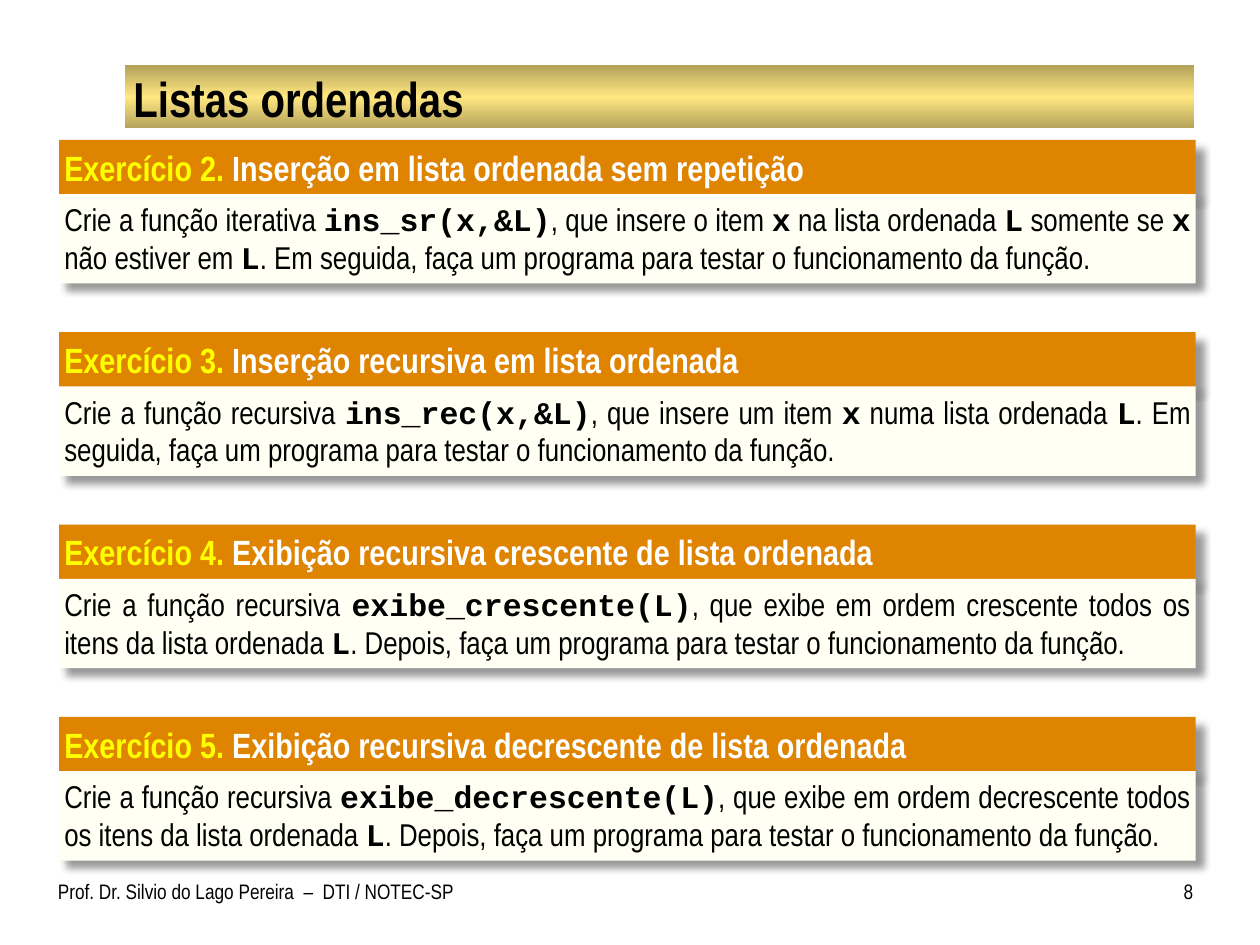
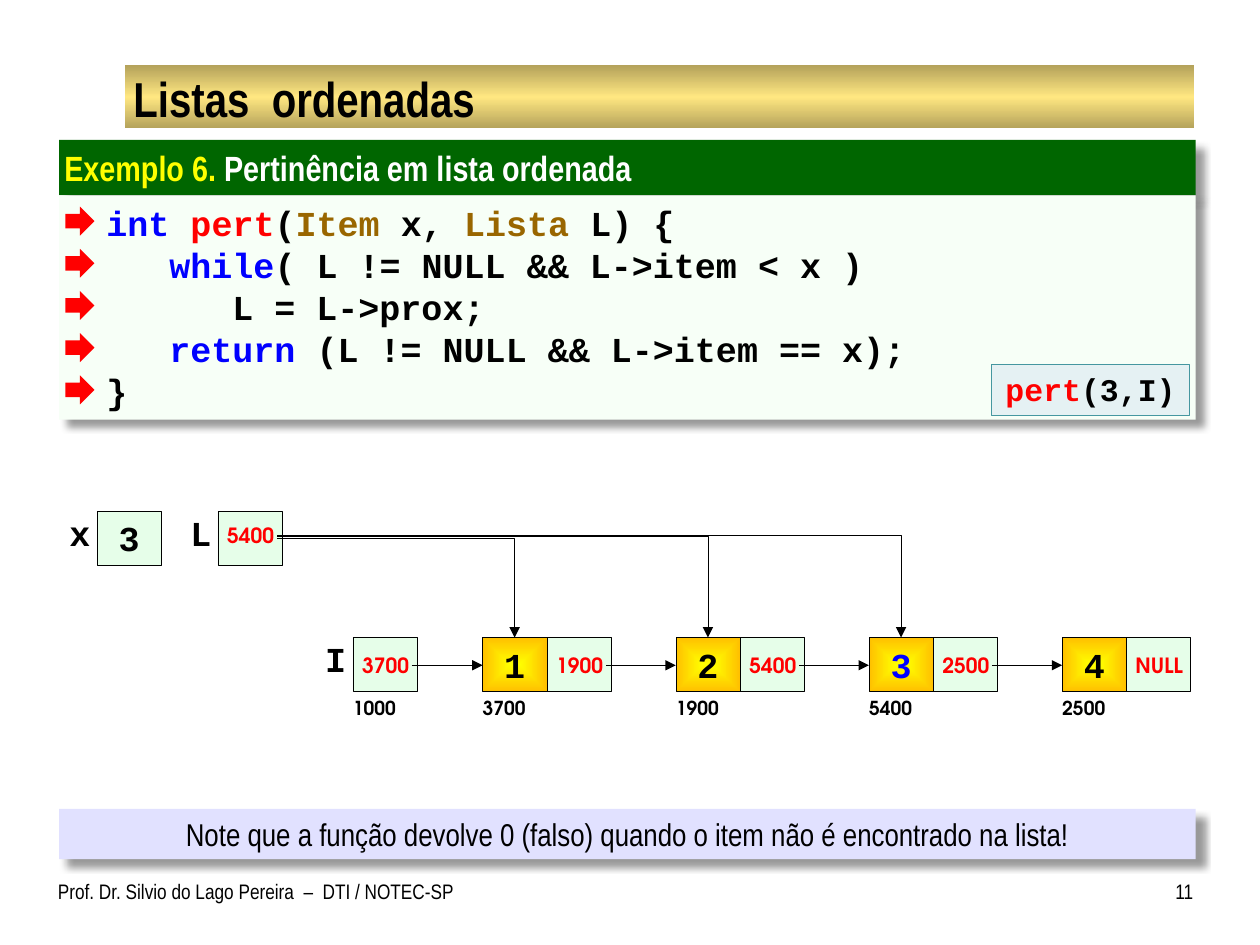
from lxml import etree
from pptx import Presentation
from pptx.dml.color import RGBColor
from pptx.enum.shapes import MSO_CONNECTOR, MSO_SHAPE
from pptx.enum.text import MSO_ANCHOR, MSO_AUTO_SIZE, PP_ALIGN
from pptx.oxml import parse_xml
from pptx.oxml.ns import qn
from pptx.util import Inches, Pt

RECTANGLE, RIGHT_ARROW = MSO_SHAPE.RECTANGLE, MSO_SHAPE.RIGHT_ARROW
STRAIGHT, ELBOW = MSO_CONNECTOR.STRAIGHT, MSO_CONNECTOR.ELBOW
TOP, MIDDLE = MSO_ANCHOR.TOP, MSO_ANCHOR.MIDDLE
LEFT, CENTER, RIGHT, JUSTIFY = PP_ALIGN.LEFT, PP_ALIGN.CENTER, PP_ALIGN.RIGHT, PP_ALIGN.JUSTIFY
DRAWING = "http://schemas.openxmlformats.org/drawingml/2006/main"

NARROW, MONO, ROUND = "Arial Narrow", "Courier New", "TeX Gyre Adventor"
COLORS = {
    "black": "000000", "white": "FFFFFF", "red": "FF0000", "blue": "0000FF",
    "yellow": "FFFF00", "amber": "FFC000", "brown": "996600",
    "band edge": "B4A25B", "band middle": "FFE781",
    "exercise": "DE8400", "exercise body": "FFFFF3",
    "example": "006600", "example body": "F7FFF7",
    "note": "E1E1FF", "call": "E5F1F3", "call line": "4597A0", "cell": "E6FEE9",
}

# Content
FOOTER = "Prof. Dr. Silvio do Lago Pereira  –  DTI / NOTEC-SP"
# Backticks enclose code
EXERCISES = [
    ("Exercício 2.", "Inserção em lista ordenada sem repetição",
     "Crie a função iterativa `ins_sr(x,&L)`, que insere o item `x` na lista ordenada `L` "
     "somente se `x` não estiver em `L`. Em seguida, faça um programa para testar o "
     "funcionamento da função."),
    ("Exercício 3.", "Inserção recursiva em lista ordenada",
     "Crie a função recursiva `ins_rec(x,&L)`, que insere um item `x` numa lista ordenada "
     "`L`. Em seguida, faça um programa para testar o funcionamento da função."),
    ("Exercício 4.", "Exibição recursiva crescente de lista ordenada",
     "Crie a função recursiva `exibe_crescente(L)`, que exibe em ordem crescente todos os "
     "itens da lista ordenada `L`. Depois, faça um programa para testar o funcionamento "
     "da função."),
    ("Exercício 5.", "Exibição recursiva decrescente de lista ordenada",
     "Crie a função recursiva `exibe_decrescente(L)`, que exibe em ordem decrescente todos "
     "os itens da lista ordenada `L`. Depois, faça um programa para testar o funcionamento "
     "da função."),
]
# Indent in characters, then coloured pieces
CODE = [
    (2, [("int ", "blue"), ("pert", "red"), ("(", "black"), ("Item", "brown"),
         (" x, ", "black"), ("Lista", "brown"), (" L) {", "black")]),
    (5, [("while", "blue"), ("( L != NULL && L->item < x )", "black")]),
    (8, [("L = L->prox;", "black")]),
    (5, [("return", "blue"), (" (L != NULL && L->item == x);", "black")]),
    (2, [("}", "black")]),
]
# Item, its colour, next address, own address
NODES = [
    ("1", "black", "1900", "3700"),
    ("2", "black", "5400", "1900"),
    ("3", "blue", "2500", "5400"),
    ("4", "black", "NULL", "2500"),
]
NOTE = "Note que a função devolve 0 (falso) quando o item não é encontrado na lista!"

# Layout in inches
PANEL_LEFT, PANEL_WIDTH, PANEL_TOP = 0.47, 9.02, 1.11
HEADER_HEIGHT, BODY_HEIGHT, EXERCISE_STEP = 0.44, 0.71, 4.58 / 3
CELL_WIDTH, CELL_HEIGHT = 0.51, 0.43
VARIABLE_TOP, NODE_TOP = 4.06, 5.06
FIRST_NODE, NODE_STEP = 3.83, 4.6 / 3
CODE_CHARACTER = 1 / 6
PANEL_INSETS = (0.04, 0.05, 0.04, 0.05)


def rgb(name):
    return RGBColor.from_string(COLORS[name])


def add_gradient(shape, stops, direction):
    shape.fill.gradient()
    properties = shape._element.spPr
    stop_xml = "".join(
        f'<a:gs pos="{position * 1000}"><a:srgbClr val="{COLORS[name]}"/></a:gs>'
        for position, name in stops)
    gradient = parse_xml(f'<a:gradFill xmlns:a="{DRAWING}" rotWithShape="1">'
                         f'<a:gsLst>{stop_xml}</a:gsLst>{direction}</a:gradFill>')
    properties.replace(properties.find(qn("a:gradFill")), gradient)


def add_shadow(shape):
    effects = shape._element.spPr.find(qn("a:effectLst"))
    effects.append(parse_xml(
        f'<a:outerShdw xmlns:a="{DRAWING}" blurRad="{Pt(4)}" dist="{Pt(6)}" dir="2700000" '
        'algn="tl" rotWithShape="0"><a:srgbClr val="000000"><a:alpha val="40000"/>'
        '</a:srgbClr></a:outerShdw>'))


def add_box(slide, left, top, width, height, fill=None, line=None, line_width=0.25,
            kind=RECTANGLE, shadow=False):
    shape = slide.shapes.add_shape(kind, Inches(left), Inches(top), Inches(width), Inches(height))
    shape.shadow.inherit = False
    if fill:
        shape.fill.solid()
        shape.fill.fore_color.rgb = rgb(fill)
    else:
        shape.fill.background()
    if line:
        shape.line.color.rgb = rgb(line)
        shape.line.width = Pt(line_width)
    else:
        shape.line.fill.background()
    if shadow:
        add_shadow(shape)
    return shape


def add_label(slide, left, top, width, height):
    return slide.shapes.add_textbox(Inches(left), Inches(top), Inches(width), Inches(height))


def set_frame(shape, insets=(0, 0, 0, 0), anchor=TOP, wrap=True, grow=False):
    frame = shape.text_frame
    frame.margin_left, frame.margin_top, frame.margin_right, frame.margin_bottom = map(Inches, insets)
    frame.vertical_anchor = anchor
    frame.word_wrap = wrap
    frame.auto_size = MSO_AUTO_SIZE.SHAPE_TO_FIT_TEXT if grow else MSO_AUTO_SIZE.NONE
    frame.paragraphs[0].alignment = LEFT
    return frame


def write(paragraph, text, size=18, font=NARROW, color="black", bold=False, align=None):
    run = paragraph.add_run()
    run.text = text
    run.font.size, run.font.name, run.font.bold = Pt(size), font, bold
    run.font.color.rgb = rgb(color)
    if align is not None:
        paragraph.alignment = align


def add_arrow(slide, start, end, kind=STRAIGHT):
    connector = slide.shapes.add_connector(kind, *map(Inches, start + end))
    connector.line.color.rgb = rgb("black")
    connector.line.width = Pt(0.25)
    properties = connector._element.spPr
    if kind == ELBOW:
        properties.find(qn("a:prstGeom")).set("prst", "bentConnector2")
    etree.SubElement(properties.find(qn("a:ln")), qn("a:tailEnd"), type="triangle")
    etree.SubElement(properties, qn("a:effectLst"))


def start_slide(title, number):
    slide = presentation.slides.add_slide(presentation.slide_layouts[6])
    band = add_box(slide, 0.99, 0.52, 8.49, 0.5)
    add_gradient(band, [(0, "band edge"), (50, "band middle"), (100, "band edge")],
                 '<a:lin ang="5400000" scaled="0"/>')
    frame = set_frame(add_label(slide, 1, 0.54, 8.47, 0.47), (0.06, 0.01, 0.06, 0.01), MIDDLE)
    write(frame.paragraphs[0], title, size=28, bold=True)
    frame = set_frame(add_label(slide, 0.46, 6.92, 3.27, 0.42), (0, 0.05, 0.1, 0.05))
    write(frame.paragraphs[0], FOOTER, size=12)
    frame = set_frame(add_label(slide, 9.08, 6.92, 0.39, 0.42), (0.1, 0.05, 0, 0.05))
    write(frame.paragraphs[0], str(number), size=12, align=RIGHT)
    return slide


def add_panel(slide, top, height, fill):
    shape = add_box(slide, PANEL_LEFT, top, PANEL_WIDTH, height, fill, shadow=True)
    return set_frame(shape, PANEL_INSETS, grow=True)


def add_header(slide, top, label, text, fill):
    paragraph = add_panel(slide, top, HEADER_HEIGHT, fill).paragraphs[0]
    write(paragraph, label, size=20, color="yellow", bold=True)
    write(paragraph, " " + text, size=20, color="white", bold=True)


def add_variable_name(slide, left, top, text):
    shape = add_box(slide, left, top, 0.17, 0.34, "white")
    write(set_frame(shape, wrap=False, grow=True).paragraphs[0], text,
          size=20, font=MONO, bold=True, align=CENTER)


def add_pointer(slide, left, top, text, drop=0.12):
    add_box(slide, left, top, CELL_WIDTH, CELL_HEIGHT, "cell", "black")
    shape = add_box(slide, left + 0.07, top + drop, 0.4, 0.2, "cell")
    frame = set_frame(shape, (0, 0, 0.02, 0), wrap=False, grow=True)
    write(frame.paragraphs[0], text, size=12, font=ROUND, color="red", bold=True, align=CENTER)


def add_address(slide, left, text):
    frame = set_frame(add_label(slide, left, 5.51, 0.52, 0.26), (0, 0.02, 0, 0.03))
    write(frame.paragraphs[0], text, size=11, font=ROUND, bold=True)


def add_item(slide, left, top, text, color="black", glowing=False):
    shape = add_box(slide, left, top, CELL_WIDTH, CELL_HEIGHT, "cell", "black")
    if glowing:
        add_gradient(shape, [(0, "yellow"), (100, "amber")],
                     '<a:path path="shape"><a:fillToRect l="50000" t="50000" r="50000" '
                     'b="50000"/></a:path>')
    frame = set_frame(shape, (0, 0.03, 0, 0.03) if glowing else (0, 0, 0, 0.01), MIDDLE)
    write(frame.paragraphs[0], text, size=20, font=MONO, color=color, bold=True, align=CENTER)


presentation = Presentation()
presentation.slide_width, presentation.slide_height = Inches(10), Inches(7.5)

# Exercises
slide = start_slide("Listas ordenadas", 8)
for index, (label, heading, body) in enumerate(EXERCISES):
    top = PANEL_TOP + index * EXERCISE_STEP
    add_header(slide, top, label, heading, "exercise")
    paragraph = add_panel(slide, top + 0.43, BODY_HEIGHT, "exercise body").paragraphs[0]
    paragraph.space_before = Pt(6)
    for position, piece in enumerate(body.split("`")):
        is_code = position % 2 == 1
        write(paragraph, piece, font=MONO if is_code else NARROW, bold=is_code, align=JUSTIFY)

# Example: note, code panel and call
slide = start_slide("Listas  ordenadas", 11)
write(add_panel(slide, 6.42, 0.4, "note").paragraphs[0], NOTE, align=CENTER)
add_header(slide, PANEL_TOP, "Exemplo 6.", "Pertinência em lista ordenada", "example")
frame = add_panel(slide, PANEL_TOP + HEADER_HEIGHT, 1.78, "example body")
for index, (indent, pieces) in enumerate(CODE):
    paragraph = frame.add_paragraph() if index else frame.paragraphs[0]
    paragraph.alignment = LEFT
    paragraph._p.get_or_add_pPr().set("marL", str(Inches(indent * CODE_CHARACTER)))
    for text, color in pieces:
        write(paragraph, text, size=20, font=MONO, color=color, bold=True)
    add_box(slide, 0.52, 1.64 + index * 0.335, 0.23, 0.23, "red", kind=RIGHT_ARROW)
call = add_box(slide, 7.87, 2.89, 1.57, 0.41, "call", "call line", 0.75)
paragraph = set_frame(call, PANEL_INSETS, grow=True).paragraphs[0]
write(paragraph, "pert", font=MONO, color="red", bold=True, align=CENTER)
write(paragraph, "(3,I)", font=MONO, bold=True)

# Example: variables
add_variable_name(slide, 0.55, VARIABLE_TOP, "x")
add_item(slide, 0.77, VARIABLE_TOP, "3")
add_variable_name(slide, 1.51, VARIABLE_TOP, "L")
add_pointer(slide, 1.73, VARIABLE_TOP, "5400", drop=0.09)
add_variable_name(slide, 2.58, NODE_TOP, "I")
add_pointer(slide, 2.8, NODE_TOP, "3700")
add_address(slide, 2.8, "1000")

# Example: linked nodes, each reached from the pointer before it
pointer_left = 2.8
for index, (item, color, following, address) in enumerate(NODES):
    left = FIRST_NODE + index * NODE_STEP
    add_pointer(slide, left + CELL_WIDTH, NODE_TOP, following)
    add_item(slide, left, NODE_TOP, item, color, glowing=True)
    add_address(slide, left, address)
    add_arrow(slide, (pointer_left + 0.47, 5.28), (left, 5.28))
    pointer_left = left + CELL_WIDTH

# Example: successive targets of L
for index in range(3):
    target = FIRST_NODE + index * NODE_STEP + CELL_WIDTH / 2
    add_arrow(slide, (2.2, 4.27 - index * 0.01), (target, NODE_TOP), ELBOW)

presentation.save("out.pptx")
